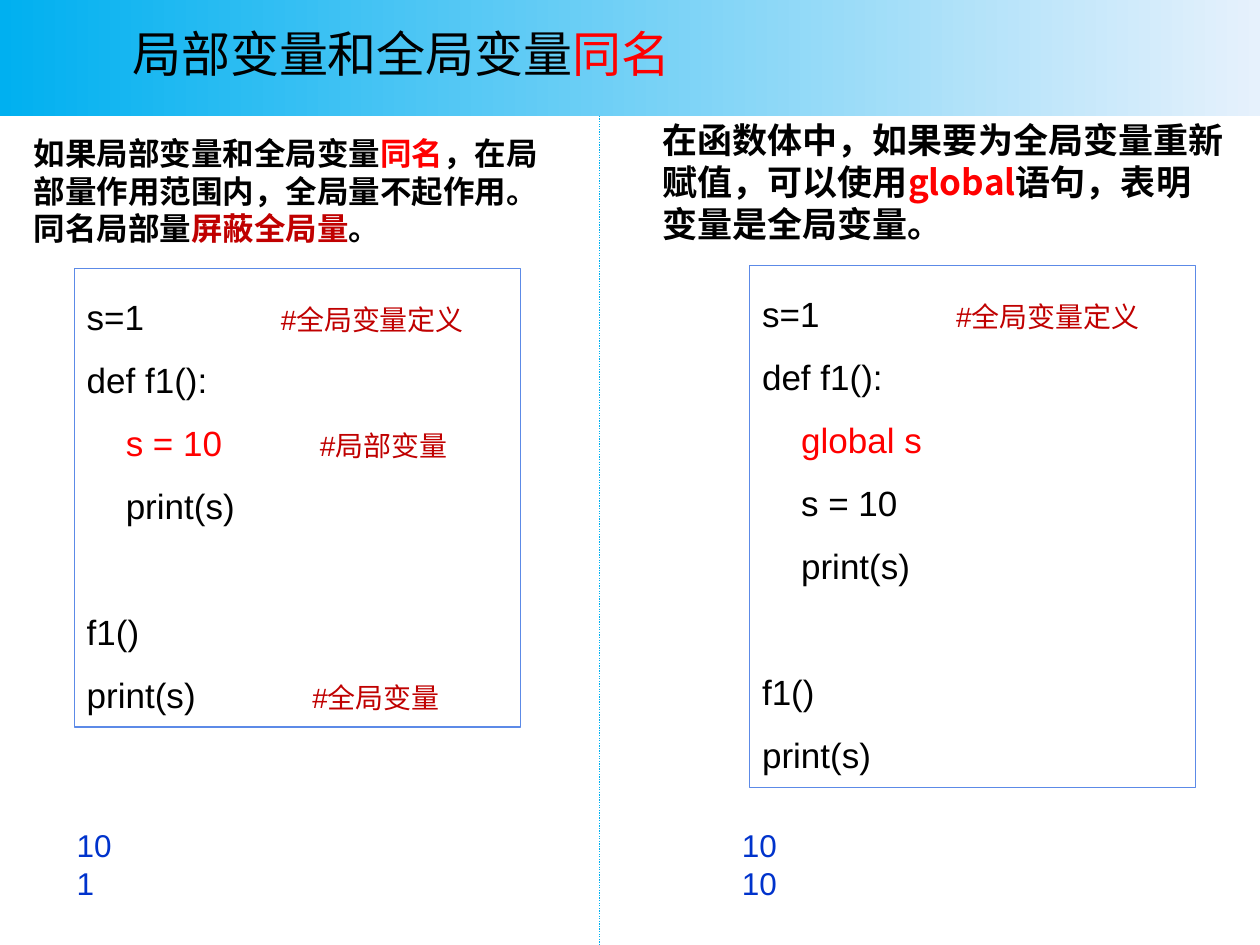
"""Build a slide comparing shadowed local variables with the global statement."""
from pptx import Presentation
from pptx.dml.color import RGBColor as RGB
from pptx.enum.dml import MSO_LINE as Dash
from pptx.enum.shapes import MSO_CONNECTOR as Conn, MSO_SHAPE as Shape
from pptx.enum.text import MSO_ANCHOR as Anchor, MSO_AUTO_SIZE as Fit, PP_ALIGN as Align
from pptx.oxml.ns import qn
from pptx.util import Inches, Pt
from lxml.etree import SubElement

C = {"black": "000000", "red": "FF0000", "dark": "C00000", "blue": "0033CC",
     "sky": "00B0F0", "pale": "E6F1FC", "frame": "5C8AE7"}
CJK = "Noto Sans CJK SC"


def add_run(p, text, size, color="black", font="Arial", bold=False):
    r = p.add_run()
    r.text = text
    r.font.size, r.font.name, r.font.bold = Pt(size), font, bold
    r.font.color.rgb = RGB.from_string(C[color])
    SubElement(r._r.get_or_add_rPr(), qn("a:ea")).set("typeface", CJK)


def set_frame(sp, anchor):
    tf = sp.text_frame
    tf.word_wrap, tf.auto_size, tf.vertical_anchor = True, Fit.NONE, anchor
    tf.paragraphs[0].alignment = Align.LEFT
    return tf


prs = Presentation()
prs.slide_width, prs.slide_height = Inches(10), Inches(7.5)
s = prs.slides.add_slide(prs.slide_layouts[5])
band_h, split_x = Inches(0.92), Inches(4.76)

band = s.shapes.add_shape(Shape.RECTANGLE, 0, 0, prs.slide_width, band_h)
band.shadow.inherit = False
band.line.fill.background()
band.fill.gradient()
band.fill.gradient_angle = 0
for stop, color in zip(band.fill.gradient_stops, ("sky", "pale")):
    stop.color.rgb = RGB.from_string(C[color])
s.shapes._spTree.insert(2, band._element)

title = s.shapes.title
title.left, title.top, title.width, title.height = map(Inches, (0.95, 0.14, 4.6, 0.57))
p = set_frame(title, Anchor.TOP).paragraphs[0]
add_run(p, "局部变量和全局变量", 28)
add_run(p, "同名", 28, "red")

intros = [
    ((0.2, 0.92, 4.33, 1.19), 0.07, 18, 21.4, [
        [("如果局部变量和全局变量", "black"), ("同名", "red"),
         ("，在局部量作用范围内，全局量不起作用。", "black")],
        [("同名局部量", "black"), ("屏蔽全局量", "dark"), ("。", "black")]]),
    ((5.16, 0.77, 4.65, 1.34), 0.1, 20, 24, [
        [("在函数体中，如果要为全局变量重新赋值，可以使用", "black"), ("global", "red"),
         ("语句，表明变量是全局变量。", "black")]]),
]
for box, inset, size, leading, lines in intros:
    tf = set_frame(s.shapes.add_textbox(*map(Inches, box)), Anchor.MIDDLE)
    tf.margin_left = tf.margin_right = Inches(inset)
    p = tf.paragraphs[0]
    p.line_spacing = Pt(leading)
    for i, line in enumerate(lines):
        if i:
            p.add_line_break()
        for text, color in line:
            add_run(p, text, size, color, CJK, True)

# Each line: indent level, code, colour, comment, comment tab in inches.
define = (0, "s=1", "black", "#全局变量定义", 1.54)
header = (0, "def f1():", "black", "", 0)
show = (1, "print(s)", "black", "", 0)
call = (0, "f1()", "black", "", 0)
listings = [
    ((0.59, 2.13, 3.54, 3.64),
     [define, header, (1, "s = 10", "red", "#局部变量", 1.85), show, call,
      (0, "print(s)", "black", "#全局变量", 1.79)]),
    ((5.95, 2.11, 3.54, 4.14),
     [define, header, (1, "global s", "red", "", 0), (1, "s = 10", "black", "", 0),
      show, call, (0, "print(s)", "black", "", 0)]),
]
for box, lines in listings:
    sp = s.shapes.add_shape(Shape.RECTANGLE, *map(Inches, box))
    sp.shadow.inherit = False
    sp.fill.background()
    sp.line.color.rgb = RGB.from_string(C["frame"])
    sp.line.width = Pt(0.75)
    tf = set_frame(sp, Anchor.TOP)
    for i, (level, code, color, comment, tab) in enumerate(lines):
        p = tf.add_paragraph() if i else tf.paragraphs[0]
        p.alignment, p.line_spacing = Align.LEFT, 1.5
        if code == "f1()":
            p.space_before = Pt(36)
        stops = [0.31] * level + [tab] * bool(comment)
        if stops:
            tabs = SubElement(p._p.get_or_add_pPr(), qn("a:tabLst"))
            for x in stops:
                SubElement(tabs, qn("a:tab"), pos=str(Inches(x)), algn="l")
        add_run(p, "\t" * level + code, 20, color)
        if comment:
            add_run(p, "\t" + comment, 16, "dark")

for x, values in ((0.51, ("10", "1")), (5.79, ("10", "10"))):
    sp = s.shapes.add_textbox(Inches(x), Inches(6.51), Inches(0.48), Inches(0.71))
    tf = set_frame(sp, Anchor.TOP)
    for i, value in enumerate(values):
        p = tf.add_paragraph() if i else tf.paragraphs[0]
        add_run(p, value, 18, "blue")

ln = s.shapes.add_connector(Conn.STRAIGHT, split_x, band_h, split_x, prs.slide_height)
ln.line.color.rgb = RGB.from_string(C["sky"])
ln.line.width, ln.line.dash_style = Pt(0.75), Dash.ROUND_DOT
SubElement(ln._element.spPr, qn("a:effectLst"))

prs.save("out.pptx")
